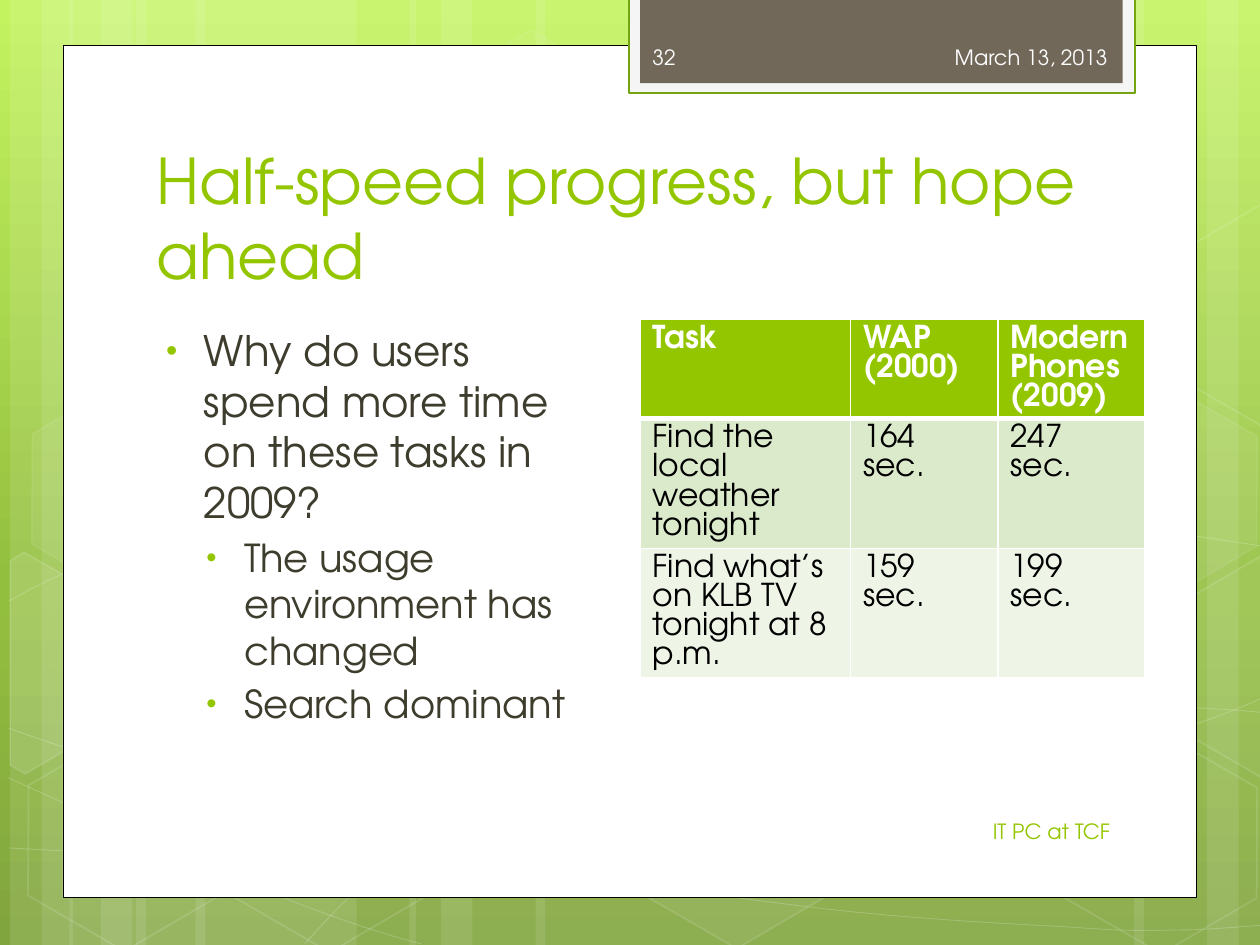
from copy import deepcopy
from math import cos, radians, sin
from lxml import etree
from pptx import Presentation
from pptx.dml.color import RGBColor
from pptx.enum.shapes import MSO_SHAPE
from pptx.enum.text import MSO_ANCHOR, PP_ALIGN
from pptx.oxml.ns import qn
from pptx.util import Inches, Pt

RECT, HEXAGON = MSO_SHAPE.RECTANGLE, MSO_SHAPE.HEXAGON
TOP, MIDDLE, BOTTOM = MSO_ANCHOR.TOP, MSO_ANCHOR.MIDDLE, MSO_ANCHOR.BOTTOM
LEFT, RIGHT = PP_ALIGN.LEFT, PP_ALIGN.RIGHT
FONT = "TeX Gyre Adventor"
WHITE = RGBColor(0xFF, 0xFF, 0xFF)
BLACK = RGBColor(0, 0, 0)
GREEN = RGBColor(0x94, 0xC6, 0x00)
DARK_GREEN = RGBColor(0x74, 0xA5, 0x10)
BROWN = RGBColor(0x71, 0x68, 0x5A)
PALE = RGBColor(0xF5, 0xF5, 0xF5)
OFF_WHITE = RGBColor(0xFE, 0xFE, 0xFE)
INK = RGBColor(0x3E, 0x3D, 0x2D)
BAND_1 = RGBColor(0xDC, 0xEA, 0xCC)
BAND_2 = RGBColor(0xEE, 0xF5, 0xE7)
SKY = [(0, RGBColor(0xC3, 0xF3, 0x5F)), (0.62, RGBColor(0x93, 0xBF, 0x3F)),
       (1, RGBColor(0x81, 0xA5, 0x3E))]


def paint(sp, fill=None, alpha=100, line=None, width=1, line_alpha=100):
    sp.shadow.inherit = False
    for part, color, opacity in ((sp.fill, fill, alpha), (sp.line.fill, line, line_alpha)):
        if color is None:
            part.background()
            continue
        part.solid()
        part.fore_color.rgb = color
        if opacity < 100:
            holder = sp._element.spPr if part is sp.fill else sp.line._ln
            clr = holder.find(qn("a:solidFill")).find(qn("a:srgbClr"))
            etree.SubElement(clr, qn("a:alpha"), val=str(opacity * 1000))
    if line is not None:
        sp.line.width = Pt(width)


def write(tf, text, size=18, color=BLACK, bold=False, align=LEFT, anchor=TOP,
          indent=None, before=0, spacing=None):
    tf.word_wrap = True
    tf.vertical_anchor = anchor
    p = tf.paragraphs[0] if not tf.text else tf.add_paragraph()
    p.alignment = align
    p.space_before = Pt(before)
    if spacing:
        p.line_spacing = spacing
    if indent:
        pPr = p._p.get_or_add_pPr()
        pPr.set("marL", str(Inches(indent)))
        pPr.set("indent", str(Inches(-0.3)))
        clr = etree.SubElement(pPr, qn("a:buClr"))
        etree.SubElement(clr, qn("a:srgbClr"), val=str(GREEN))
        etree.SubElement(pPr, qn("a:buSzPct"), val="76000")
        etree.SubElement(pPr, qn("a:buFont"), typeface="Arial")
        etree.SubElement(pPr, qn("a:buChar"), char="•")
    r = p.add_run()
    r.text = text
    r.font.name, r.font.size, r.font.bold = FONT, Pt(size), bold
    r.font.color.rgb = color


prs = Presentation()
prs.slide_width, prs.slide_height = Inches(10), Inches(7.5)
s = prs.slides.add_slide(prs.slide_layouts[6])

bg = s.background.fill
bg.gradient()
bg.gradient_angle = 270
stop_list = next(s._element.iter(qn("a:gsLst")))
stop_list.append(deepcopy(stop_list[-1]))
for stop, (position, color) in zip(bg.gradient_stops, SKY):
    stop.position = position
    stop.color.rgb = color

stripes = [(1.08, 1.75), (0.08, 0.5), (0.33, 0.83), (1.55, 1.75), (0.55, 0.5), (0.8, 0.83),
           (7.33, 1.75), (9.58, 0.5), (9, 0.83), (4.25, 3.08), (3.25, 0.5), (3.5, 0.83)]
for x, w in stripes:
    sp = s.shapes.add_shape(RECT, Inches(x), 0, Inches(w), Inches(7.5))
    sp.rotation = 180 if x > 7 else 0
    paint(sp, WHITE, 10)

curves = [
    [(0.07, 6.73), (0.61, 6.76), (1.15, 6.79), (1.9, 6.78), (2.65, 6.77), (3.58, 6.75),
     (4.58, 6.65), (5.58, 6.55), (7, 6.36), (7.92, 6.17), (8.83, 5.98), (9.77, 5.68),
     (10.07, 5.51)],
    [(0.07, 4.77), (0.36, 4.61), (0.65, 4.46), (1.21, 4.31), (1.78, 4.16), (2.59, 3.94),
     (3.47, 3.87), (4.36, 3.8), (5.44, 3.79), (6.54, 3.87), (7.64, 3.95), (9.47, 4.26),
     (10.07, 4.34)],
    [(0.06, 6.17), (1.27, 6.72), (2.47, 7.27), (3.34, 7.49)],
    [(0.07, 5.78), (0.38, 5.89), (0.7, 6), (1.28, 6.16), (1.86, 6.31), (2.73, 6.56),
     (3.57, 6.73), (4.4, 6.9), (5.45, 7.08), (6.28, 7.18), (7.11, 7.29), (8, 7.33),
     (8.53, 7.36), (9.05, 7.4), (9.19, 7.38), (9.45, 7.38), (9.71, 7.37), (9.89, 7.35),
     (10.07, 7.34)],
    [(2.42, 7.49), (2.6, 7.29), (2.78, 7.09), (3.02, 6.91), (3.26, 6.73), (3.6, 6.53),
     (3.88, 6.39), (4.16, 6.25), (4.33, 6.19), (4.7, 6.09), (5.06, 5.99), (5.73, 5.85),
     (6.08, 5.78), (6.44, 5.71), (6.49, 5.71), (6.8, 5.69), (7.11, 5.66), (7.6, 5.63),
     (7.94, 5.62), (8.29, 5.61), (8.86, 5.62), (8.86, 5.62), (9.08, 5.62), (9.31, 5.62),
     (9.53, 5.62), (9.71, 5.63), (9.88, 5.64), (9.97, 5.65), (10.06, 5.66), (10.03, 5.65),
     (10.06, 5.66)],
]
for knots in curves:
    points = [(Inches(x), Inches(y)) for x, y in knots]
    pen = s.shapes.build_freeform(*points[0])
    pen.add_line_segments(points[1:], close=False)
    sp = pen.convert_to_shape()
    segments = list(sp._element.iter(qn("a:lnTo")))
    for i in range(0, len(segments), 3):
        bezier = etree.Element(qn("a:cubicBezTo"))
        segments[i].addprevious(bezier)
        for segment in segments[i:i + 3]:
            bezier.append(segment[0])
            segment.getparent().remove(segment)
    paint(sp, line=WHITE, width=0.5, line_alpha=20)

TILT = 30
hexagons = [(3.34, 0.36, 4, 8), (4.97, 5.89, 6, 12), (0.11, 5.91, 0, 12), (0.14, 3.12, 7, 8),
            (1.74, 5.92, 0, 12), (7.53, 4.53, 10, 12), (8.34, 5.93, 0, 12), (8.34, 3.14, 7, 8)]
for x, y, alpha, line_alpha in hexagons:
    sp = s.shapes.add_shape(HEXAGON, Inches(x), Inches(y), Inches(1.75), Inches(1.52))
    sp.adjustments[0], sp.adjustments[1] = 0.285, 1.155
    sp.rotation = TILT
    paint(sp, WHITE if alpha else None, alpha, WHITE, 1, line_alpha)

right_cut = [(9.26, 4.85), (10.01, 4.41), (10.09, 4.46), (10.09, 6.13), (10.02, 6.17), (9.26, 5.73)]
cut_hexagons = [
    ([(0.08, 4.45), (0.19, 4.38), (0.96, 4.82), (0.95, 5.7), (0.2, 6.14), (0.08, 6.07)],
     0.36, 5.35, 10),
    (right_cut, 9.85, 5.2, 4),
    ([(x, y - 2.79) for x, y in right_cut], 9.85, 2.41, 0),
]
c, n = cos(radians(TILT)), sin(radians(TILT))
for corners, cx, cy, alpha in cut_hexagons:
    points = [(Inches(cx + (x - cx) * c + (y - cy) * n), Inches(cy - (x - cx) * n + (y - cy) * c))
              for x, y in corners]
    pen = s.shapes.build_freeform(*points[0])
    pen.add_line_segments(points[1:], close=True)
    sp = pen.convert_to_shape()
    sp.rotation = TILT
    paint(sp, WHITE if alpha else None, alpha, WHITE, 1, 12)

panels = [(0.5, 0.36, 9, 6.76, WHITE, BLACK, 0.5),
          (4.99, -0.02, 4.02, 0.76, PALE, DARK_GREEN, 1.25),
          (5.08, -0.02, 3.83, 0.68, BROWN, None, 0)]
for x, y, w, h, fill, line, width in panels:
    sp = s.shapes.add_shape(RECT, Inches(x), Inches(y), Inches(w), Inches(h))
    paint(sp, fill, line=line, width=width)

labels = [
    (1.14, 1.12, 7.68, 1.25, "Half-speed progress, but hope ahead", 36, GREEN, LEFT, BOTTOM),
    (6.56, 0.25, 2.33, 0.4, "March 13, 2013", 12, OFF_WHITE, RIGHT, MIDDLE),
    (5.08, 6.4, 3.83, 0.4, "IT PC at TCF", 12, GREEN, RIGHT, MIDDLE),
    (5.08, 0.25, 1.46, 0.4, "32", 12, OFF_WHITE, LEFT, MIDDLE),
]
for x, y, w, h, text, size, color, align, anchor in labels:
    box = s.shapes.add_textbox(Inches(x), Inches(y), Inches(w), Inches(h))
    write(box.text_frame, text, size=size, color=color, align=align, anchor=anchor)

body = s.shapes.add_textbox(Inches(1.14), Inches(2.53), Inches(3.74), Inches(3.82))
bullets = [("Why do users spend more time on these tasks in 2009?", 24, 0.38),
           ("The usage environment has changed", 22, 0.7),
           ("Search dominant", 22, 0.7)]
for text, size, indent in bullets:
    write(body.text_frame, text, size=size, color=INK, indent=indent, before=size * 0.2)

rows = [("Task", "WAP (2000)", "Modern Phones (2009)"),
        ("Find the local weather tonight", "164 sec.", "247 sec."),
        ("Find what’s on KLB TV tonight at 8 p.m.", "159 sec.", "199 sec.")]
table = s.shapes.add_table(3, 3, Inches(5.08), Inches(2.53), Inches(4), Inches(2.85)).table
for column, w in zip(table.columns, (1.67, 1.17, 1.17)):
    column.width = Inches(w)
for row, h in zip(table.rows, (0.79, 1.03, 1.03)):
    row.height = Inches(h)
for i, texts in enumerate(rows):
    for j, text in enumerate(texts):
        cell = table.cell(i, j)
        cell.fill.solid()
        cell.fill.fore_color.rgb = (GREEN, BAND_1, BAND_2)[i]
        write(cell.text_frame, text, color=BLACK if i else WHITE, bold=i == 0, spacing=Pt(16.6))
        tcPr = cell._tc.get_or_add_tcPr()
        for k, side in enumerate("LRTB"):
            thick = (i, side) in ((0, "B"), (1, "T"))
            ln = etree.Element(qn("a:ln" + side), w=str(Pt(3 if thick else 1)))
            fill = etree.SubElement(ln, qn("a:solidFill"))
            etree.SubElement(fill, qn("a:srgbClr"), val=str(WHITE))
            tcPr.insert(k, ln)

prs.save("out.pptx")
